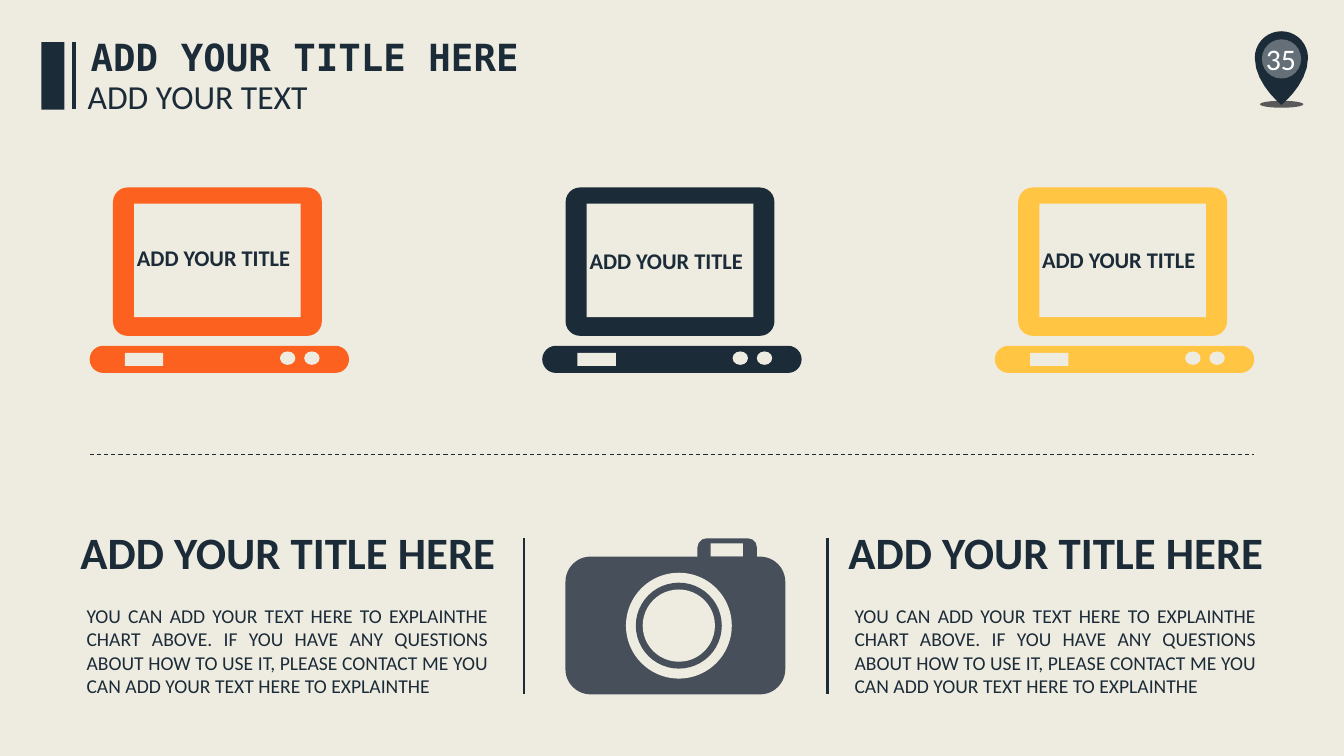
"""Build the laptop and camera infographic slide."""
import math
from lxml import etree
from pptx import Presentation, util as u
from pptx.dml import color
from pptx.enum import dml, shapes, text
from pptx.oxml import ns

HUES = {"paper": "EEECE1", "navy": "1C2B38", "orange": "FC611F", "gold": "FFC543",
        "slate": "464F5A", "shade": "595959", "white": "FFFFFF"}
SANS, MONO = "Calibri", "DejaVu Sans Mono"
TITLE, SUB, PAGE = "ADD YOUR TITLE HERE", "ADD YOUR TEXT", "35"
LAPTOPS = [("ADD YOUR TITLE", "orange", 170.6), ("ADD YOUR TITLE", "navy", 172.8),
           ("ADD YOUR TITLE", "gold", 172.1)]
NOTE = ("YOU CAN ADD YOUR TEXT HERE TO EXPLAINTHE CHART ABOVE. IF YOU HAVE ANY QUESTIONS "
        "ABOUT HOW TO USE IT, PLEASE CONTACT ME YOU CAN ADD YOUR TEXT HERE TO EXPLAINTHE")
PANELS = [("ADD YOUR TITLE HERE", NOTE, 50.4), ("ADD YOUR TITLE HERE", NOTE, 599)]
RULES = [((374.4, 384.5), (374.4, 495.4), 1.5, None),
         ((591.1, 384.5), (591.1, 495.4), 1.5, None),
         ((64, 324.7), (895.9, 324.7), 0.75, dml.MSO_LINE.DASH),
         ((52.6, 30.2), (52.6, 78), 3, None)]
LENS = [(37.8, "paper"), (30.7, "slate"), (25.8, "paper")]
LEFT, PITCH = 64, 323.3
KIND = shapes.MSO_SHAPE


def rgb(hue):
    return color.RGBColor.from_string(HUES[hue])


def paint(shape, hue):
    shape.shadow.inherit = False
    shape.fill.solid()
    shape.fill.fore_color.rgb = rgb(hue)
    shape.line.fill.background()
    return shape


def preset(slide, kind, hue, x, y, w, h, curve=None):
    shape = slide.shapes.add_shape(kind, u.Pt(x), u.Pt(y), u.Pt(w), u.Pt(h))
    if curve:
        shape.adjustments[0] = curve / min(w, h)
    return paint(shape, hue)


def oval(slide, hue, x, y, rx, ry):
    return preset(slide, KIND.OVAL, hue, x - rx, y - ry, 2 * rx, 2 * ry)


def bend(a, b, c, d, steps=6):
    curve = []
    for i in range(1, steps + 1):
        t = i / steps
        parts = ((1 - t) ** 3, 3 * t * (1 - t) ** 2, 3 * t * t * (1 - t), t ** 3)
        curve.append(tuple(sum(k * p[n] for k, p in zip(parts, (a, b, c, d)))
                           for n in (0, 1)))
    return curve


def rule(slide, start, end, width, dash):
    line = slide.shapes.add_connector(shapes.MSO_CONNECTOR.STRAIGHT,
                                      *map(u.Pt, start + end))
    line.line.color.rgb = rgb("navy")
    line.line.width = u.Pt(width)
    if dash:
        line.line.dash_style = dash
    etree.SubElement(line.element.spPr, ns.qn("a:effectLst"))


def write(shape, words, area, size, hue="navy", bold=False, face=SANS,
          align=text.PP_ALIGN.LEFT, anchor=text.MSO_ANCHOR.TOP):
    shape.left, shape.top, shape.width, shape.height = map(u.Pt, area)
    frame = shape.text_frame
    frame.word_wrap = True
    frame.auto_size = text.MSO_AUTO_SIZE.NONE
    frame.vertical_anchor = anchor
    para = frame.paragraphs[0]
    para.alignment = align
    para.space_before = u.Pt(0)
    run = para.add_run()
    run.text = words
    font = run.font
    font.name, font.size, font.bold = face, u.Pt(size), bold
    font.color.rgb = rgb(hue)


def label(slide, words, area, size, **look):
    write(slide.shapes.add_textbox(0, 0, 0, 0), words, area, size, **look)


def head(slide):
    write(slide.shapes.title, TITLE, (57.6, 20.9, 340, 39.6), 26.7, bold=True, face=MONO)
    body = slide.placeholders[1]
    props = body.text_frame.paragraphs[0]._p.get_or_add_pPr()
    props.set("marL", "0")
    props.set("indent", "0")
    etree.SubElement(props, ns.qn("a:buNone"))
    write(body, SUB, (55.4, 50.4, 190, 36), 24)
    preset(slide, KIND.RECTANGLE, "navy", 29.5, 30.2, 16.6, 48.2)


def pin(slide):
    x, y, r = 915.3, 41.3, 19
    tip = (x, 75)
    oval(slide, "shade", 915.5, 74.5, 15.5, 2.5)
    turns = [math.radians(180 + 10 * i) for i in range(19)]
    edge = [(x + r * math.cos(t), y + r * math.sin(t)) for t in turns]
    edge += bend((x + r, y), (x + r, 56), (x + 7, 69), tip)
    edge += bend(tip, (x - 7, 69), (x - r, 56), (x - r, y))
    dots = [(u.Pt(a), u.Pt(b)) for a, b in edge]
    pen = slide.shapes.build_freeform(*dots[0], scale=1.0)
    pen.add_line_segments(dots[1:], close=True)
    paint(pen.convert_to_shape(), "navy")
    disc = oval(slide, "white", 915.4, 42.1, 14, 14)
    tone = disc.element.spPr.find(ns.qn("a:solidFill"))[0]
    etree.SubElement(tone, ns.qn("a:alpha")).set("val", "32000")
    label(slide, PAGE, (890, 27.4, 50, 28.8), 21.3, hue="white",
          align=text.PP_ALIGN.CENTER, anchor=text.MSO_ANCHOR.MIDDLE)


def laptop(slide, x, words, hue, top):
    preset(slide, KIND.ROUNDED_RECTANGLE, hue, x + 16.7, 133.9, 149.2, 106, 10.4)
    preset(slide, KIND.RECTANGLE, "paper", x + 31.8, 145.4, 119, 81.2)
    preset(slide, KIND.ROUNDED_RECTANGLE, hue, x, 247, 185.3, 19.4, 9.7)
    preset(slide, KIND.RECTANGLE, "paper", x + 25.2, 252, 27.4, 9.4)
    for dot in (141.5, 158.8):
        oval(slide, "paper", x + dot, 255.8, 5.5, 4.8)
    label(slide, words, (x + 26.7, top, 129, 26.6), 16, bold=True)


def camera(slide):
    preset(slide, KIND.ROUND_2_SAME_RECTANGLE, "slate", 498.2, 384.5, 42.5, 15, 6.5)
    preset(slide, KIND.RECTANGLE, "paper", 507.6, 388.1, 23, 9.5)
    preset(slide, KIND.ROUNDED_RECTANGLE, "slate", 403.9, 397.6, 157, 98.4, 18)
    for size, hue in LENS:
        oval(slide, hue, 484.9, 446.9, size, size)


def main():
    deck = Presentation()
    deck.slide_width, deck.slide_height = u.Pt(960), u.Pt(540)
    slide = deck.slides.add_slide(deck.slide_layouts[1])
    slide.background.fill.solid()
    slide.background.fill.fore_color.rgb = rgb("paper")
    head(slide)
    pin(slide)
    for i, (words, hue, top) in enumerate(LAPTOPS):
        laptop(slide, LEFT + i * PITCH, words, hue, top)
    for name, note, x in PANELS:
        label(slide, name, (x, 371.5, 321, 46), 32, bold=True)
        label(slide, note, (x + 4.3, 427.7, 301, 75), 14, align=text.PP_ALIGN.JUSTIFY)
    for spec in RULES:
        rule(slide, *spec)
    camera(slide)
    deck.save("out.pptx")


if __name__ == "__main__":
    main()
